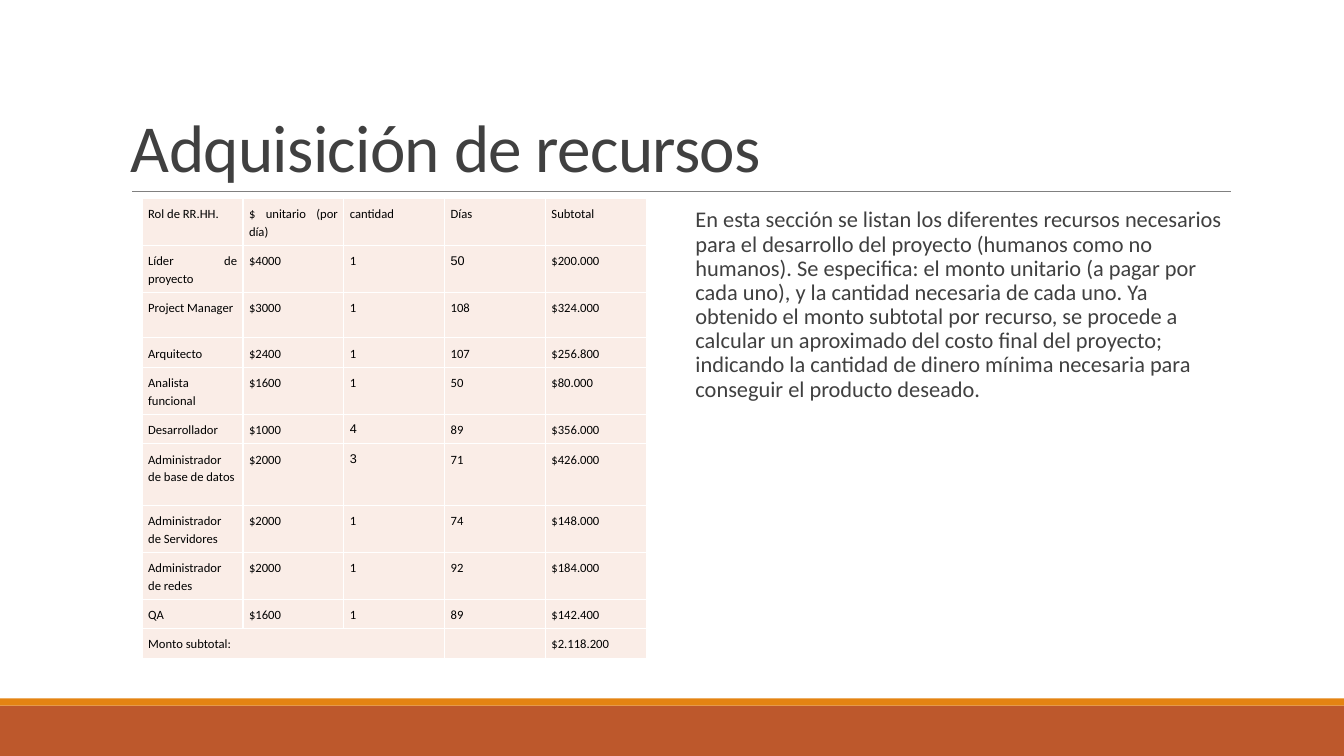
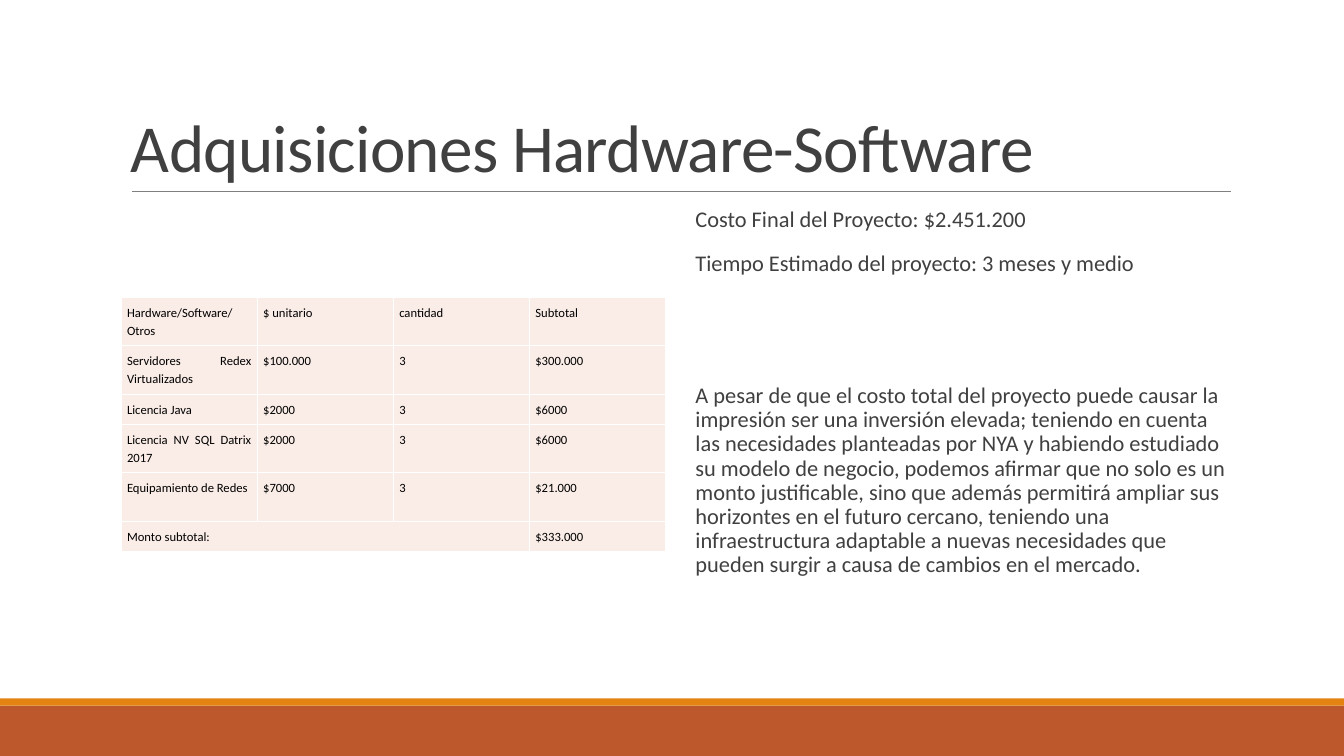
from lxml import etree
from pptx import Presentation
from pptx.dml.color import RGBColor
from pptx.enum.shapes import MSO_CONNECTOR, MSO_SHAPE
from pptx.enum.text import MSO_ANCHOR, PP_ALIGN
from pptx.oxml.ns import qn
from pptx.util import Inches, Pt

RECT = MSO_SHAPE.RECTANGLE
STRAIGHT = MSO_CONNECTOR.STRAIGHT
TOP, BOTTOM = MSO_ANCHOR.TOP, MSO_ANCHOR.BOTTOM
LEFT, JUSTIFY = PP_ALIGN.LEFT, PP_ALIGN.JUSTIFY

RUST = RGBColor(0xBD, 0x58, 0x2C)
ORANGE = RGBColor(0xE4, 0x83, 0x12)
GRAY = RGBColor(0x80, 0x80, 0x80)
DARK = RGBColor(0x40, 0x40, 0x40)
BLACK = RGBColor(0, 0, 0)
WHITE = RGBColor(0xFF, 0xFF, 0xFF)
BLUSH = RGBColor(0xFA, 0xED, 0xE7)

WIDTH, HEIGHT = 13.33, 7.5
BANDS = [(7, 0.5, RUST), (6.93, 0.07, ORANGE)]

SLIDES = [
    {
        "title": "Adquisición de recursos",
        "table": {
            "left": 1.41, "top": 1.97, "column": 1,
            "heights": [0.45, 0.45, 0.45, 0.28, 0.45, 0.28, 0.61, 0.45, 0.45, 0.28, 0.28],
            "arial": {(1, 3), (5, 2), (6, 2)},
            "rows": [
                ("Rol de RR.HH.", "$ unitario (por día)", "cantidad", "Días", "Subtotal"),
                ("Líder de proyecto", "$4000", "1", "50", "$200.000"),
                ("Project Manager", "$3000", "1", "108", "$324.000"),
                ("Arquitecto", "$2400", "1", "107", "$256.800"),
                ("Analista funcional", "$1600", "1", "50", "$80.000"),
                ("Desarrollador", "$1000", "4", "89", "$356.000"),
                ("Administrador de base de datos", "$2000", "3", "71", "$426.000"),
                ("Administrador de Servidores", "$2000", "1", "74", "$148.000"),
                ("Administrador de redes", "$2000", "1", "92", "$184.000"),
                ("QA", "$1600", "1", "89", "$142.400"),
                ("Monto subtotal:", "", "", "", "$2.118.200"),
            ],
        },
        "body": [
            ("En esta sección se listan los diferentes recursos necesarios para el "
             "desarrollo del proyecto (humanos como no humanos). Se especifica: el monto "
             "unitario (a pagar por cada uno), y la cantidad necesaria de cada uno. Ya "
             "obtenido el monto subtotal por recurso, se procede a calcular un aproximado "
             "del costo final del proyecto; indicando la cantidad de dinero mínima "
             "necesaria para conseguir el producto deseado.", 0),
        ],
    },
    {
        "title": "Adquisiciones Hardware-Software",
        "table": {
            "left": 1.2, "top": 2.95, "column": 1.35,
            "heights": [0.48, 0.48, 0.3, 0.48, 0.48, 0.3],
            "arial": set(),
            "rows": [
                ("Hardware/Software/Otros", "$ unitario", "cantidad", "Subtotal"),
                ("Servidores Redex Virtualizados", "$100.000", "3", "$300.000"),
                ("Licencia Java", "$2000", "3", "$6000"),
                ("Licencia NV SQL Datrix 2017", "$2000", "3", "$6000"),
                ("Equipamiento de Redes", "$7000", "3", "$21.000"),
                ("Monto subtotal:", "", "", "$333.000"),
            ],
        },
        "body": [
            ("Costo Final del Proyecto: $2.451.200", 0),
            ("Tiempo Estimado del proyecto: 3 meses y medio", 12),
            ("A pesar de que el costo total del proyecto puede causar la impresión ser una "
             "inversión elevada; teniendo en cuenta las necesidades planteadas por NYA y "
             "habiendo estudiado su modelo de negocio, podemos afirmar que no solo es un "
             "monto justificable, sino que además permitirá ampliar sus horizontes en el "
             "futuro cercano, teniendo una infraestructura adaptable a nuevas necesidades "
             "que pueden surgir a causa de cambios en el mercado.", 75),
        ],
    },
]


def write(p, text, size, color=DARK, font="Calibri", align=LEFT,
          spacing=1.0, before=0, after=0, tracking=None):
    p.alignment = align
    p.line_spacing = spacing
    p.space_before, p.space_after = Pt(before), Pt(after)
    if not text:
        end = etree.SubElement(p._p, qn("a:endParaRPr"))
        end.set("sz", str(size * 100))
        return
    r = p.add_run()
    r.text = text
    r.font.size = Pt(size)
    r.font.name = font
    r.font.color.rgb = color
    if tracking is not None:
        r._r.get_or_add_rPr().set("spc", str(int(tracking * 100)))


def add_text_frame(slide, left, top, width, height, anchor):
    tf = slide.shapes.add_textbox(
        Inches(left), Inches(top), Inches(width), Inches(height)).text_frame
    tf.word_wrap = True
    tf.vertical_anchor = anchor
    return tf


def add_base(prs, title):
    slide = prs.slides.add_slide(prs.slide_layouts[6])
    for top, height, color in BANDS:
        sp = slide.shapes.add_shape(RECT, 0, Inches(top), Inches(WIDTH), Inches(height))
        sp.shadow.inherit = False
        sp.fill.solid()
        sp.fill.fore_color.rgb = color
        sp.line.fill.background()
    rule = slide.shapes.add_connector(
        STRAIGHT, Inches(1.31), Inches(1.9), Inches(12.21), Inches(1.9))
    rule.line.color.rgb = GRAY
    rule.line.width = Pt(0.5)
    etree.SubElement(rule._element.spPr, qn("a:effectLst"))
    tf = add_text_frame(slide, 1.2, 0.31, 11, 1.59, BOTTOM)
    write(tf.paragraphs[0], title, 48, spacing=0.85, tracking=-0.5)
    return slide


def style_cell(cell):
    tc_pr = cell._tc.get_or_add_tcPr()
    for side in ("lnL", "lnR", "lnT", "lnB"):
        ln = etree.SubElement(tc_pr, qn(f"a:{side}"), w=str(Pt(1)))
        fill = etree.SubElement(ln, qn("a:solidFill"))
        etree.SubElement(fill, qn("a:srgbClr"), val=str(WHITE))
    cell.fill.solid()
    cell.fill.fore_color.rgb = BLUSH
    cell.margin_left = cell.margin_right = Inches(0.06)
    cell.margin_top = cell.margin_bottom = Inches(0.06)


def add_cost_table(slide, left, top, column, heights, arial, rows):
    count = len(rows[0])
    table = slide.shapes.add_table(
        len(rows), count, Inches(left), Inches(top),
        Inches(column * count), Inches(sum(heights))).table
    table.first_row = table.horz_banding = False
    for col in table.columns:
        col.width = Inches(column)
    for i, (row, height) in enumerate(zip(rows, heights)):
        table.rows[i].height = Inches(height)
        for j, text in enumerate(row):
            cell = table.cell(i, j)
            style_cell(cell)
            write(cell.text_frame.paragraphs[0], text, 9, color=BLACK,
                  font="Arial" if (i, j) in arial else "Calibri",
                  align=JUSTIFY, spacing=1.15)
    last = len(rows) - 1
    table.cell(last, 0).merge(table.cell(last, 2))


def add_body(slide, paragraphs):
    tf = add_text_frame(slide, 6.8, 2.02, 5.4, 4.4, TOP)
    tf.margin_right = 0
    for i, (text, before) in enumerate(paragraphs):
        p = tf.add_paragraph() if i else tf.paragraphs[0]
        write(p, text, 16, spacing=0.9, before=before, after=2)


def main():
    prs = Presentation()
    prs.slide_width, prs.slide_height = Inches(WIDTH), Inches(HEIGHT)
    for content in SLIDES:
        slide = add_base(prs, content["title"])
        add_cost_table(slide, **content["table"])
        add_body(slide, content["body"])
    prs.save("out.pptx")


if __name__ == "__main__":
    main()
